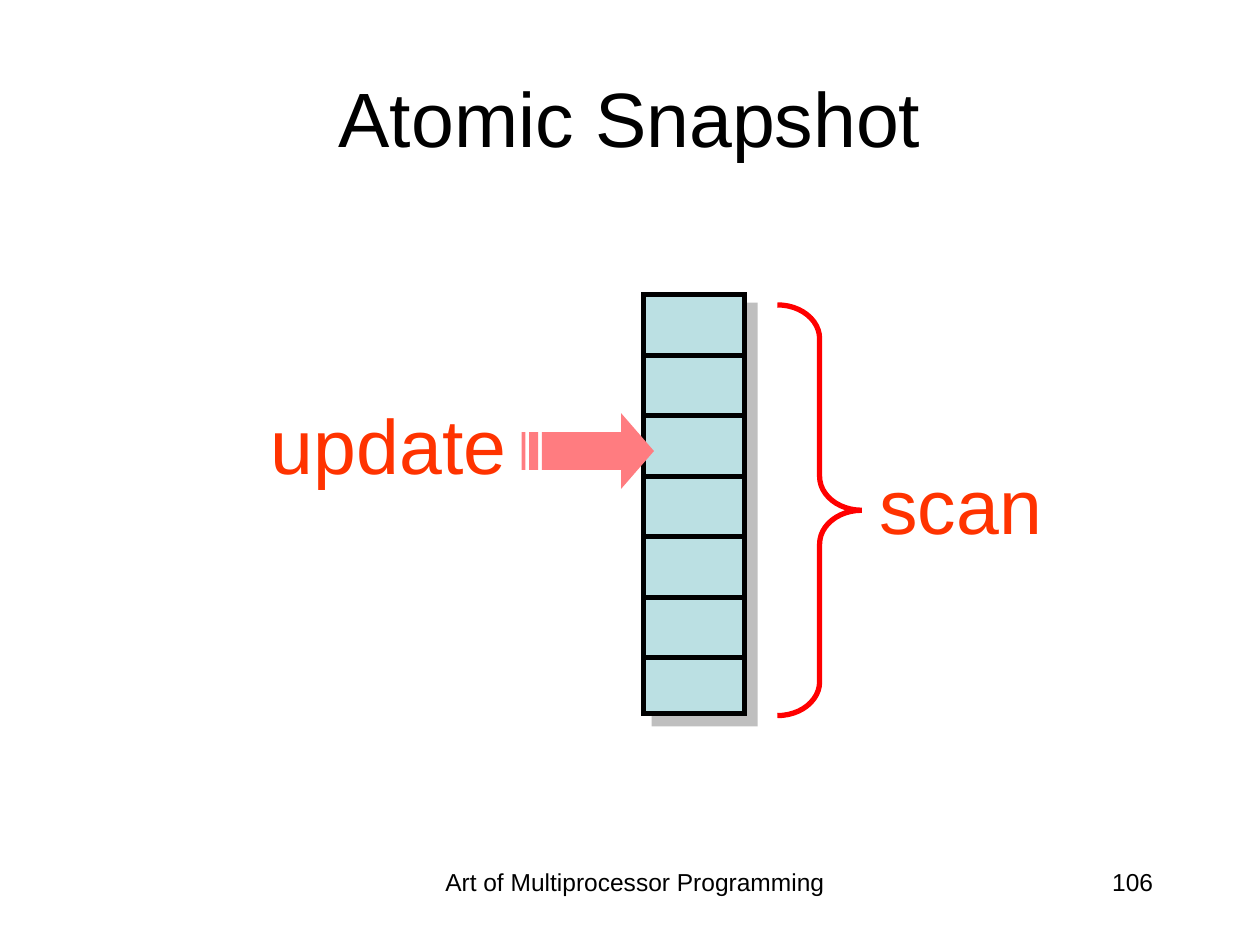
from dataclasses import dataclass

import pptx
import pptx.dml.color
import pptx.enum.shapes
import pptx.enum.text
import pptx.oxml
import pptx.oxml.ns
import pptx.util
from pptx.util import Inches

RGBColor = pptx.dml.color.RGBColor
Align = pptx.enum.text.PP_ALIGN
Shape = pptx.enum.shapes.MSO_SHAPE

BLACK = RGBColor(0x00, 0x00, 0x00)
RED = RGBColor(0xFF, 0x00, 0x00)
ORANGE = RGBColor(0xFF, 0x33, 0x00)
PINK = RGBColor(0xFF, 0x7C, 0x80)
PALE_BLUE = RGBColor(0xBB, 0xE0, 0xE3)

LINE_WIDTH = pptx.util.Pt(3)
ARRAY_LEFT, ARRAY_TOP, ARRAY_WIDTH, ARRAY_HEIGHT = 5.11, 2.34, 0.8, 3.32
CELL_HEIGHT = 0.48
CELL_COUNT = 7

NAMESPACE = pptx.oxml.ns.nsdecls("a")
MITER_JOIN = f'<a:miter {NAMESPACE} lim="800000"/>'
NO_EFFECTS = f"<a:effectLst {NAMESPACE}/>"
ARRAY_SHADOW = (
    f"<a:effectLst {NAMESPACE}>"
    '<a:outerShdw dist="107950" dir="2700000" algn="ctr" rotWithShape="0">'
    '<a:srgbClr val="808080"><a:alpha val="50000"/></a:srgbClr>'
    "</a:outerShdw></a:effectLst>"
)

# Striped arrow, in inches: the head with its shaft, then two stripes
ARROW_CONTOURS = [
    [(4.93, 3.28), (4.93, 3.43), (4.3, 3.43), (4.3, 3.73),
     (4.93, 3.73), (4.93, 3.88), (5.19, 3.58)],
    [(4.2, 3.43), (4.2, 3.73), (4.27, 3.73), (4.27, 3.43)],
    [(4.14, 3.43), (4.14, 3.73), (4.17, 3.73), (4.17, 3.43)],
]


@dataclass
class Label:
    text: str
    left: float
    top: float
    width: float
    height: float
    size: int
    color: RGBColor
    alignment: Align
    wrap: bool = True


LABELS = [
    Label("update", 2.05, 3.11, 2.07, 0.84, 44, ORANGE, Align.RIGHT, False),
    Label("scan", 6.88, 3.58, 1.49, 0.84, 44, ORANGE, Align.RIGHT, False),
    Label("Art of Multiprocessor Programming", 3.33, 6.83, 3.42, 0.52, 14, BLACK, Align.CENTER),
    Label("106", 7.17, 6.83, 2.08, 0.5, 14, BLACK, Align.RIGHT),
]


def write_text(shape, text: str, size: int, color: RGBColor, alignment: Align) -> None:
    paragraph = shape.text_frame.paragraphs[0]
    paragraph.text = text
    paragraph.alignment = alignment
    formats = {"name": "Arial", "size": pptx.util.Pt(size)}
    for attribute, value in formats.items():
        setattr(paragraph.font, attribute, value)
    paragraph.font.color.rgb = color


def add_title(slide, text: str) -> None:
    title = slide.shapes.title
    position = {"left": 0.5, "top": 0.3, "width": 9, "height": 1.25}
    for attribute, value in position.items():
        setattr(title, attribute, Inches(value))
    title.text_frame.vertical_anchor = pptx.enum.text.MSO_ANCHOR.MIDDLE
    write_text(title, text, 44, BLACK, Align.CENTER)


def add_label(slide, label: Label) -> None:
    box = slide.shapes.add_textbox(
        Inches(label.left), Inches(label.top), Inches(label.width), Inches(label.height)
    )
    box.text_frame.word_wrap = label.wrap
    write_text(box, label.text, label.size, label.color, label.alignment)


def set_line(shape, color: RGBColor) -> None:
    shape.line.color.rgb = color
    shape.line.width = LINE_WIDTH
    outline = shape.element.spPr.find(pptx.oxml.ns.qn("a:ln"))
    outline.append(pptx.oxml.parse_xml(MITER_JOIN))


def add_brace(slide) -> None:
    brace = slide.shapes.add_shape(
        Shape.RIGHT_BRACE, Inches(6.17), Inches(2.42), Inches(0.67), Inches(3.26)
    )
    brace.adjustments[0] = 0.4
    brace.shadow.inherit = False
    brace.fill.background()
    set_line(brace, RED)


def add_array(slide) -> None:
    array = slide.shapes.add_shape(
        Shape.RECTANGLE, Inches(ARRAY_LEFT), Inches(ARRAY_TOP),
        Inches(ARRAY_WIDTH), Inches(ARRAY_HEIGHT),
    )
    array.fill.solid()
    array.fill.fore_color.rgb = PALE_BLUE
    set_line(array, BLACK)
    array.element.spPr.append(pptx.oxml.parse_xml(ARRAY_SHADOW))

    # Dividers between the cells
    for index in range(1, CELL_COUNT):
        y = Inches(ARRAY_TOP + index * CELL_HEIGHT)
        divider = slide.shapes.add_connector(
            pptx.enum.shapes.MSO_CONNECTOR.STRAIGHT,
            Inches(ARRAY_LEFT), y, Inches(ARRAY_LEFT + ARRAY_WIDTH), y,
        )
        set_line(divider, BLACK)
        divider.element.spPr.append(pptx.oxml.parse_xml(NO_EFFECTS))


def add_arrow(slide) -> None:
    # Freeform points are rounded to whole units, so they are given in EMU
    first, *stripes = [
        [(Inches(x), Inches(y)) for x, y in contour] for contour in ARROW_CONTOURS
    ]
    builder = slide.shapes.build_freeform(*first[0])
    builder.add_line_segments(first[1:], close=True)
    for stripe in stripes:
        builder.move_to(*stripe[0])
        builder.add_line_segments(stripe[1:], close=True)
    arrow = builder.convert_to_shape()
    arrow.shadow.inherit = False
    arrow.fill.solid()
    arrow.fill.fore_color.rgb = PINK
    arrow.line.fill.background()


def main() -> None:
    presentation = pptx.Presentation()
    presentation.slide_width = Inches(10)
    presentation.slide_height = Inches(7.5)
    slide = presentation.slides.add_slide(presentation.slide_layouts[5])

    add_title(slide, "Atomic Snapshot")
    add_brace(slide)
    add_array(slide)
    add_arrow(slide)
    for label in LABELS:
        add_label(slide, label)

    presentation.save("out.pptx")


if __name__ == "__main__":
    main()
